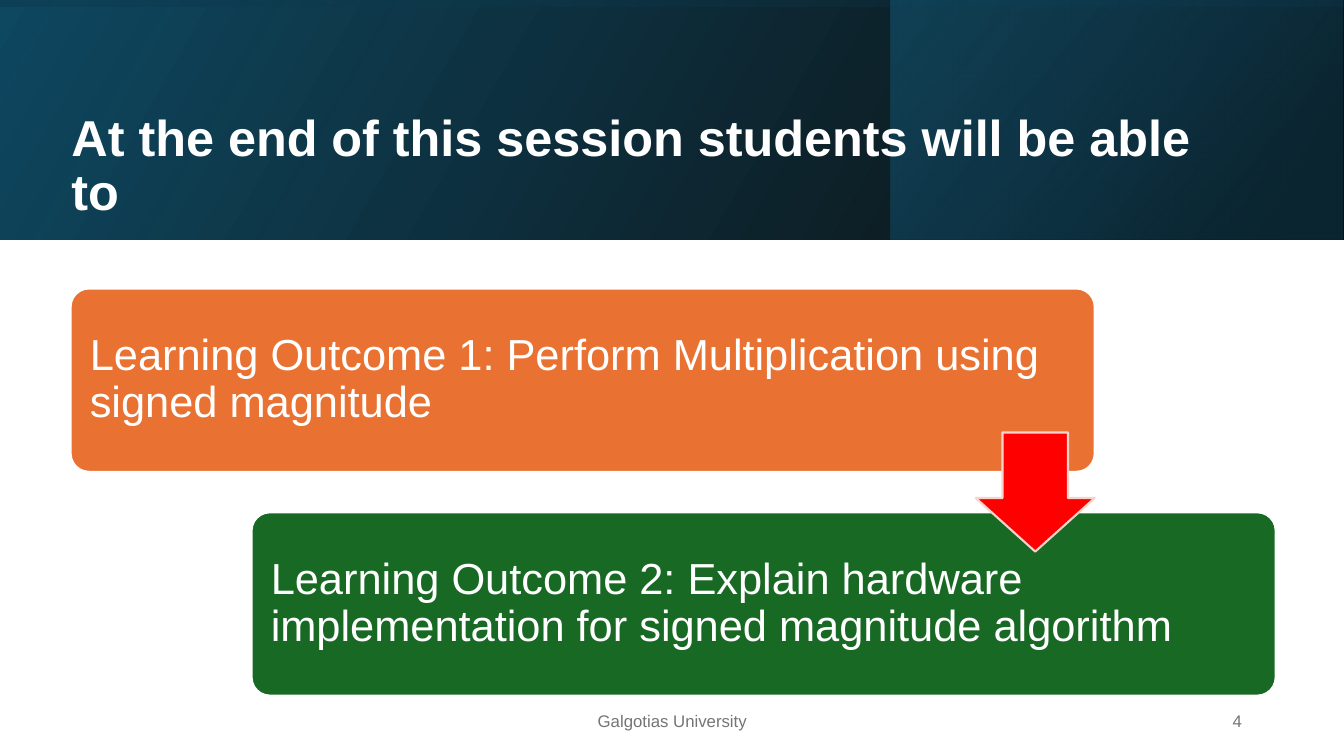
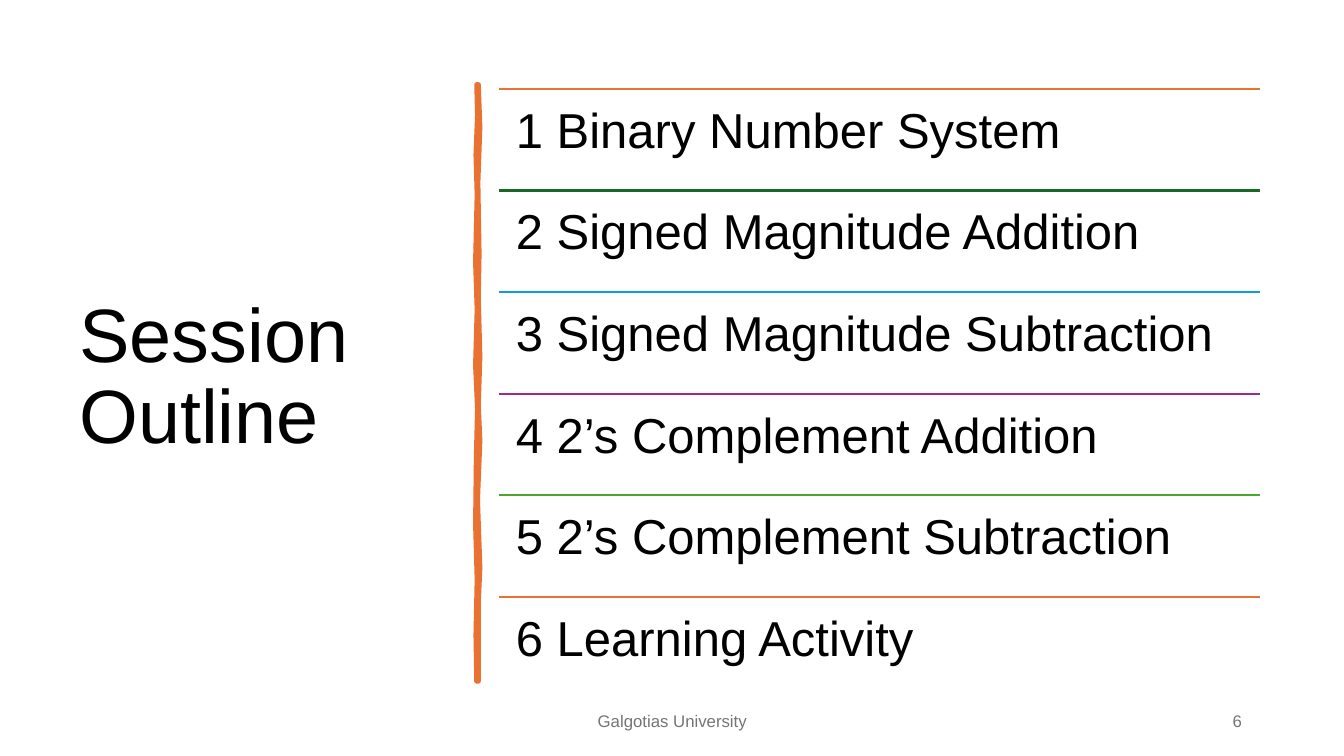
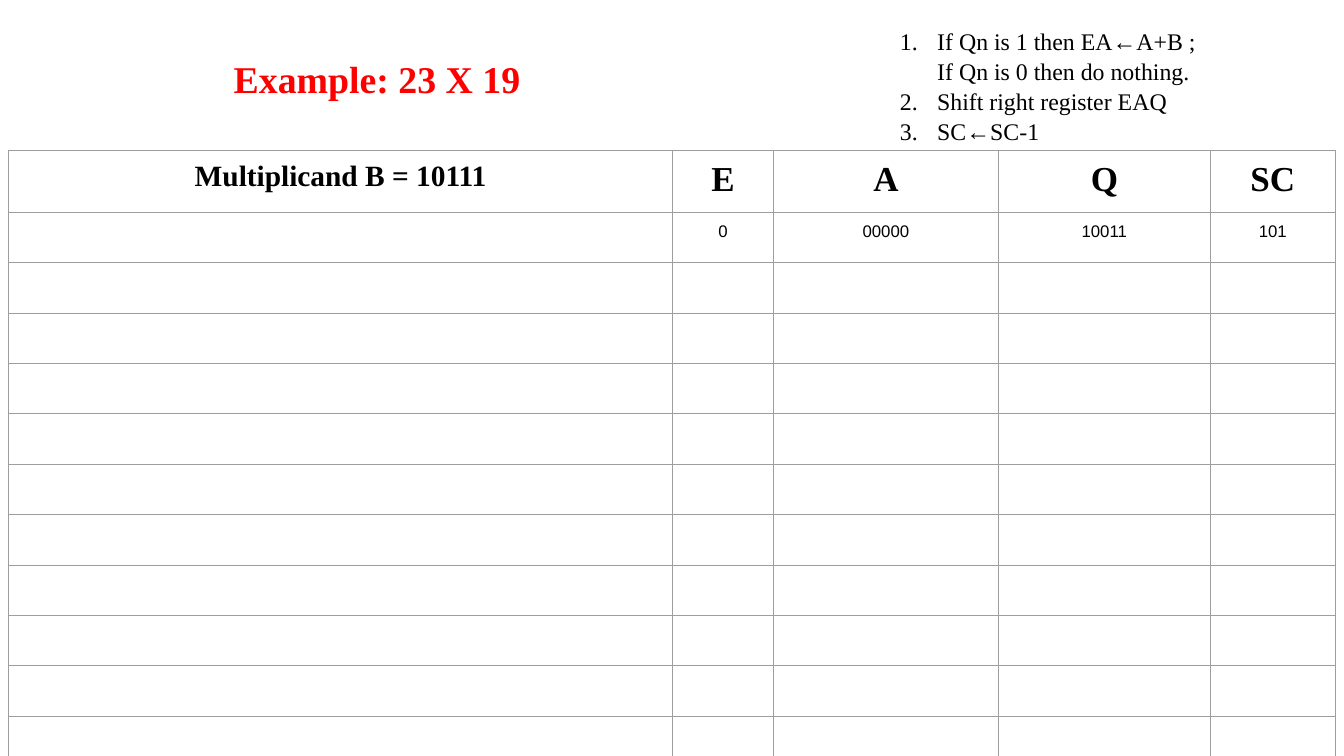
"""Build three slides of a lecture on signed magnitude multiplication."""
import dataclasses

import lxml.etree
import pptx
import pptx.dml.color
import pptx.enum.shapes
import pptx.enum.text
import pptx.oxml.ns
import pptx.util

Cm = pptx.util.Cm
Pt = pptx.util.Pt
qn = pptx.oxml.ns.qn
RGB = pptx.dml.color.RGBColor.from_string
SHAPE = pptx.enum.shapes.MSO_SHAPE
ALIGN = pptx.enum.text.PP_ALIGN
ANCHOR = pptx.enum.text.MSO_ANCHOR


@dataclasses.dataclass(frozen=True)
class Theme:
    sans: str = "Arial"
    serif: str = "Times New Roman"
    black: str = "000000"
    white: str = "FFFFFF"
    grey: str = "757575"
    grid: str = "9E9E9E"
    red: str = "FF0000"
    pink: str = "F6D4CC"
    orange: str = "E97131"
    green: str = "186923"
    blue: str = "0C9ED5"
    purple: str = "A02891"
    lime: str = "4EA62C"
    navy: str = "0F4861"
    deep: str = "0A3041"
    teal: str = "156082"
    title: float = 36
    big_title: float = 54
    example: float = 27
    outcome: float = 31
    item: float = 35
    steps: float = 17
    head: float = 25
    multiplicand: float = 21
    small: float = 12


T = Theme()


def write(tf, text, size, color=T.black, font=T.sans, bold=False, align=ALIGN.LEFT,
          anchor=ANCHOR.MIDDLE, spacing=1.0, inset=(0.25, 0.13), numbered=False):
    """Fill a text frame, one paragraph per line of text."""
    tf.word_wrap = True
    tf.vertical_anchor = anchor
    tf.margin_left = tf.margin_right = Cm(inset[0])
    tf.margin_top = tf.margin_bottom = Cm(inset[1])
    for i, line in enumerate(text.split("\n")):
        p = tf.paragraphs[0] if i == 0 else tf.add_paragraph()
        p.text = line
        p.alignment = align
        p.line_spacing = spacing
        if numbered:
            pPr = p._p.get_or_add_pPr()
            pPr.set("marL", str(Cm(1.27)))
            pPr.set("indent", str(Cm(-0.94)))
            lxml.etree.SubElement(pPr, qn("a:buFont"), typeface="+mj-lt")
            lxml.etree.SubElement(pPr, qn("a:buAutoNum"), type="arabicPeriod")
        for r in p.runs:
            r.font.name = font
            r.font.size = Pt(size)
            r.font.bold = bold
            r.font.color.rgb = RGB(color)


def add_box(s, kind, at, fill=None, line=None, width=1.5):
    """Add a flat preset shape, at given in centimetres."""
    sp = s.shapes.add_shape(kind, *map(Cm, at))
    sp.shadow.inherit = False
    if fill:
        sp.fill.solid()
        sp.fill.fore_color.rgb = RGB(fill)
    if line:
        sp.line.color.rgb = RGB(line)
        sp.line.width = Pt(width)
    else:
        sp.line.fill.background()
    return sp


prs = pptx.Presentation()
prs.slide_width, prs.slide_height = Cm(33.87), Cm(19.05)
outcomes, outline, example = [prs.slides.add_slide(prs.slide_layouts[6]) for _ in range(3)]

band_layers = [
    ((0, 0, 33.87, 6.03), 0, 330, [(0, T.black, 95), (100, T.navy, 100)]),
    ((22.45, 0, 11.38, 6.03), 0, 320, [(0, T.deep, 67), (19, T.deep, 67), (100, T.teal, 47)]),
    ((13.92, -13.92, 6.03, 33.87), 270, 350,
     [(0, T.navy, 15), (23, T.navy, 15), (99, T.black, 44), (100, T.black, 44)]),
]
for at, rotation, angle, stops in band_layers:
    sp = add_box(outcomes, SHAPE.RECTANGLE, at)
    sp.rotation = rotation
    spPr = sp._element.spPr
    spPr.find(qn("a:xfrm")).set("flipH", "1")
    grad = lxml.etree.Element(qn("a:gradFill"))
    gs_list = lxml.etree.SubElement(grad, qn("a:gsLst"))
    for pos, color, opacity in stops:
        gs = lxml.etree.SubElement(gs_list, qn("a:gs"), pos=str(pos * 1000))
        clr = lxml.etree.SubElement(gs, qn("a:srgbClr"), val=color)
        lxml.etree.SubElement(clr, qn("a:alpha"), val=str(opacity * 1000))
    lxml.etree.SubElement(grad, qn("a:lin"), ang=str(angle * 60000), scaled="0")
    spPr.find(qn("a:prstGeom")).addnext(grad)

titles = [
    (outcomes, (1.55, 3.07, 29.29, 2.29), "At the end of this session students will be able to",
     dict(size=T.title, color=T.white, bold=True, spacing=0.9)),
    (outline, (1.75, 1.78, 9.5, 15.52), "Session Outline", dict(size=T.big_title, spacing=0.9)),
    (example, (5.64, 1.19, 17.55, 1.8), "Example: 23 X 19",
     dict(size=T.example, color=T.red, font=T.serif, bold=True, spacing=0.8)),
]
for s, at, text, style in titles:
    write(s.shapes.add_textbox(*map(Cm, at)).text_frame, text, **style)

for s, number in [(outcomes, "4"), (outline, "6")]:
    for left, width, text, align in [(11.23, 11.43, "Galgotias University", ALIGN.CENTER),
                                     (23.93, 7.62, number, ALIGN.RIGHT)]:
        sp = s.shapes.add_textbox(Cm(left), Cm(17.65), Cm(width), Cm(1.02))
        write(sp.text_frame, text, T.small, color=T.grey, align=align)

cards = [
    (T.orange, "Learning Outcome 1: Perform Multiplication using signed magnitude"),
    (T.green, "Learning Outcome 2: Explain hardware implementation for signed magnitude algorithm"),
]
for i, (color, text) in enumerate(cards):
    at = (1.78 + 4.56 * i, 7.27 + 5.64 * i, 25.81, 4.62)
    sp = add_box(outcomes, SHAPE.ROUNDED_RECTANGLE, at, color, T.white)
    sp.adjustments[0] = 0.1
    write(sp.text_frame, text, T.outcome, color=T.white, spacing=0.9, inset=(0.35, 0.33))
sp = add_box(outcomes, SHAPE.DOWN_ARROW, (24.59, 10.9, 3, 3), T.red, T.pink)
sp.adjustments[0], sp.adjustments[1] = 0.55, 0.45

right_edge = [(12.06, 2.13), (12.1, 3.2), (12.05, 4.6), (12.08, 6.4), (12.06, 7.5), (12.1, 9),
              (12.06, 10.2), (12.1, 11.1), (12.04, 12.6), (12.1, 14.3), (12.06, 15.2),
              (12.06, 17.17)]
left_edge = [(12.01, 17.17), (11.99, 16), (12.02, 14.6), (11.98, 13.2), (12, 11.5), (12.03, 10.3),
             (11.98, 9.2), (12.02, 7.8), (11.98, 6.6), (12.02, 4.9), (11.99, 3.9), (12.03, 2.9),
             (12.01, 2.13)]
points = [(Cm(x), Cm(y)) for x, y in right_edge + left_edge]
builder = outline.shapes.build_freeform(*points[0])
builder.add_line_segments(points[1:], close=True)
sp = builder.convert_to_shape()
sp.shadow.inherit = False
sp.fill.solid()
sp.fill.fore_color.rgb = RGB(T.orange)
sp.line.color.rgb = RGB(T.orange)
sp.line.width = Pt(3.25)

items = [
    (T.orange, "1 Binary Number System"),
    (T.green, "2 Signed Magnitude Addition"),
    (T.blue, "3 Signed Magnitude Subtraction"),
    (T.purple, "4 2’s Complement Addition"),
    (T.lime, "5 2’s Complement Subtraction"),
    (T.orange, "6 Learning Activity"),
]
pitch = 2.56
for i, (color, text) in enumerate(items):
    top = Cm(2.24 + pitch * i)
    cxn = outline.shapes.add_connector(pptx.enum.shapes.MSO_CONNECTOR.STRAIGHT,
                                       Cm(12.57), top, Cm(31.75), top)
    cxn.line.color.rgb = RGB(color)
    cxn.line.width = Pt(1.5)
    lxml.etree.SubElement(cxn._element.spPr, qn("a:effectLst"))
    sp = outline.shapes.add_textbox(Cm(12.57), top, Cm(19.18), Cm(pitch))
    write(sp.text_frame, text, T.item, anchor=ANCHOR.TOP, spacing=0.9, inset=(0.43, 0.43))

steps = ("If Qn is 1 then EA←A+B ;\vIf Qn is 0 then do nothing.\n"
         "Shift right register EAQ\nSC←SC-1")
sp = example.shapes.add_textbox(Cm(22.1), Cm(0.38), Cm(11.76), Cm(3.43))
write(sp.text_frame, steps, T.steps, font=T.serif, anchor=ANCHOR.TOP, spacing=1.05,
      inset=(0.25, 0.25), numbered=True)

widths = [16.73, 2.54, 5.67, 5.34, 3.15]
heights = [1.56] + [1.27] * 11
rows = [["Multiplicand B = 10111", "E", "A", "Q", "SC"], ["", "0", "00000", "10011", "101"]]
frame = example.shapes.add_table(len(heights), len(widths), Cm(0.22), Cm(3.79),
                                 Cm(sum(widths)), Cm(sum(heights)))
table = frame.table
table.first_row = table.horz_banding = False
for column, width in zip(table.columns, widths):
    column.width = Cm(width)
for i, height in enumerate(heights):
    table.rows[i].height = Cm(height)
    for j, cell in enumerate(table.rows[i].cells):
        tcPr = cell._tc.get_or_add_tcPr()
        for side in ("a:lnL", "a:lnR", "a:lnT", "a:lnB"):
            ln = lxml.etree.SubElement(tcPr, qn(side), w=str(Pt(0.75)))
            solid = lxml.etree.SubElement(ln, qn("a:solidFill"))
            lxml.etree.SubElement(solid, qn("a:srgbClr"), val=T.grid)
        cell.fill.background()
        if i < len(rows) and rows[i][j]:
            head = i == 0
            size = T.small if not head else T.head if j else T.multiplicand
            write(cell.text_frame, rows[i][j], size, font=T.serif if head else T.sans,
                  bold=head, align=ALIGN.CENTER)
            cell.vertical_anchor = ANCHOR.TOP
            cell.margin_left = cell.margin_right = Cm(0.25)
            cell.margin_top = cell.margin_bottom = Cm(0.25)

prs.save("out.pptx")
